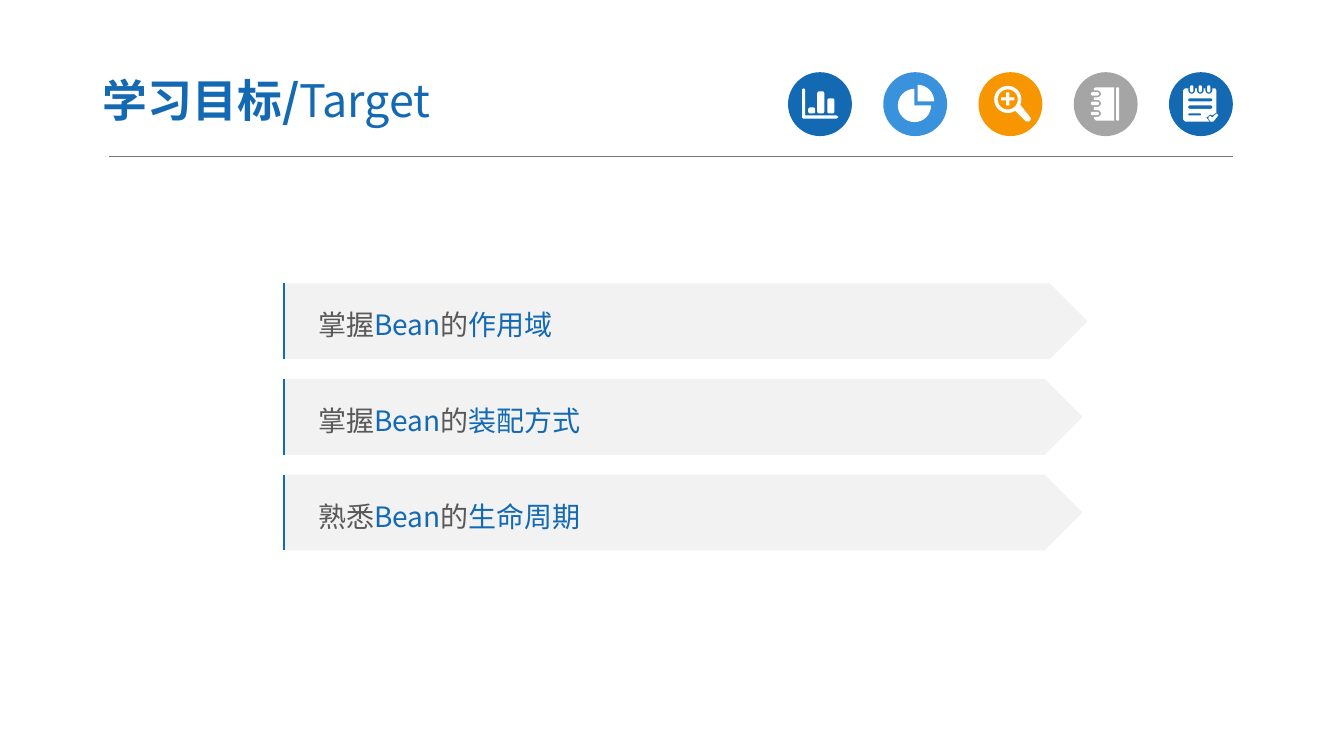
from dataclasses import dataclass
from math import cos, radians, sin

from lxml import etree
from pptx import Presentation
from pptx.dml.color import RGBColor
from pptx.enum.shapes import MSO_CONNECTOR, MSO_SHAPE
from pptx.enum.text import MSO_ANCHOR, PP_ALIGN
from pptx.oxml.ns import qn
from pptx.util import Cm, Pt

STRAIGHT = MSO_CONNECTOR.STRAIGHT
OVAL = MSO_SHAPE.OVAL
PENTAGON = MSO_SHAPE.PENTAGON
MIDDLE = MSO_ANCHOR.MIDDLE
LEFT = PP_ALIGN.LEFT


@dataclass(frozen=True)
class Theme:
    font: str = "Noto Sans CJK SC"
    blue: str = "1369B2"
    sky: str = "3992DB"
    orange: str = "F79600"
    silver: str = "A5A5A5"
    panel: str = "F2F2F2"
    body: str = "595959"
    rule: str = "767676"
    white: str = "FFFFFF"
    title_size: int = 32
    goal_size: int = 20


THEME = Theme()
TITLE = [("学习目标/", THEME.blue, True), ("Target", THEME.blue, False)]
GOALS = [
    ("掌握", "Bean", "的", "作用域", 20.27),
    ("掌握", "Bean", "的", "装配方式", 20.14),
    ("熟悉", "Bean", "的", "生命周期", 20.14),
]
GOAL_LEFT, GOAL_TOP, GOAL_HEIGHT, GOAL_STEP = 7.14, 7.14, 1.91, 2.41
EDGE_LEFT = 7.16
ICON_LEFT, ICON_TOP, ICON_SIZE, ICON_STEP = 19.86, 1.82, 1.61, 2.4
ICON_UNIT = Cm(0.0254)


def arc(x, y, radius, start, end, steps=24):
    angles = [radians(start + (end - start) * i / steps) for i in range(steps + 1)]
    return [(x + radius * cos(a), y + radius * sin(a)) for a in angles]


def pill(x, y, width, height, radius):
    right, bottom = x + width - radius, y + height - radius
    corners = [(right, bottom), (x + radius, bottom), (x + radius, y + radius), (right, y + radius)]
    return [point for i, (cx, cy) in enumerate(corners)
            for point in arc(cx, cy, radius, 90 * i, 90 * i + 90, 6)]


def bar_chart_icon():
    axes = [(14, 17), (15.5, 16), (17, 17), (17, 43), (48, 43), (50, 44.5),
            (48, 46), (15, 46), (14, 45)]
    bars = [(20, 35, 6), (29, 19, 22), (39, 26, 15)]
    return [axes] + [pill(x, y, 7, height, 2) for x, y, height in bars]


def pie_icon():
    return [[(34, 29)] + arc(34, 29, 16.5, -90, 0), [(31, 33)] + arc(31, 33, 16.5, 0, 270)]


def magnifier_icon():
    handle = [(50, 43), (52, 46), (51, 48.5), (48, 49), (46, 48)]
    plus = [(27.5, 20), (30.5, 20), (30.5, 25), (35.5, 25), (35.5, 28), (30.5, 28),
            (30.5, 33), (27.5, 33), (27.5, 28), (22.5, 28), (22.5, 25), (27.5, 25)]
    return [arc(29, 27, 13.5, 57, 383) + handle, arc(29, 27, 10, 0, 360), plus]


def notebook_icon():
    rings = (41, 31, 21.5)
    cover = [(20, 16), (22, 15), (40, 15), (40, 48), (22, 48), (20, 46)]
    for y in rings:
        cover += [(20, y + 3.4)] + arc(23.5, y, 3.4, 90, -90) + [(20, y - 3.4)]
    return [cover, pill(42, 15, 3, 33, 1)] + [pill(17, y - 1.7, 8, 3.4, 1.7) for y in rings]


def notepad_icon():
    rings = (22.5, 31, 39.5)
    sheet = [(14, 18), (16, 16)]
    for x in rings:
        sheet += [(x - 3.4, 16)] + arc(x, 18, 3.4, 180, 0) + [(x + 3.4, 16)]
    sheet += [(46, 16), (47, 18), (47, 40), (43, 43), (41, 42), (37, 45), (40, 49),
              (16, 49), (14, 47)]
    tick = [(48, 44), (44, 49), (41, 49), (39, 46), (39.5, 44), (41, 43.5),
            (43, 45), (46, 42), (47.5, 41), (49, 43)]
    lines = [(26, 24, 3), (33, 24, 3.4), (41, 13, 2)]
    return ([sheet, tick] + [pill(19, y, width, height, height / 2) for y, width, height in lines]
            + [pill(x - 1.65, 13, 3.3, 7, 1.65) for x in rings])


ICONS = [
    (THEME.blue, bar_chart_icon()),
    (THEME.sky, pie_icon()),
    (THEME.orange, magnifier_icon()),
    (THEME.silver, notebook_icon()),
    (THEME.blue, notepad_icon()),
]


def paint(shape, color):
    shape.shadow.inherit = False
    shape.fill.solid()
    shape.fill.fore_color.rgb = RGBColor.from_string(color)
    shape.line.fill.background()


def add_rule(page, x1, y1, x2, y2, color, width):
    line = page.shapes.add_connector(STRAIGHT, Cm(x1), Cm(y1), Cm(x2), Cm(y2))
    line.line.color.rgb = RGBColor.from_string(color)
    line.line.width = Pt(width)
    etree.SubElement(line._element.spPr, qn("a:effectLst"))


def add_span(para, text, *, size, color, bold=False):
    span = para.add_run()
    span.text = text
    span.font.name = THEME.font
    span.font.size = Pt(size)
    span.font.bold = bold
    span.font.color.rgb = RGBColor.from_string(color)
    east_asian = etree.SubElement(span._r.get_or_add_rPr(), qn("a:ea"))
    east_asian.set("typeface", THEME.font)


def write(box, spans, *, size, inset, spacing=1.0):
    frame = box.text_frame
    frame.word_wrap = True
    frame.vertical_anchor = MIDDLE
    frame.margin_left = Cm(inset)
    para = frame.paragraphs[0]
    para.alignment = LEFT
    para.line_spacing = spacing
    for text, color, bold in spans:
        add_span(para, text, size=size, color=color, bold=bold)


def add_icon(page, left, color, contours):
    disc = page.shapes.add_shape(OVAL, Cm(left), Cm(ICON_TOP), Cm(ICON_SIZE), Cm(ICON_SIZE))
    paint(disc, color)
    scaled = [[(x * ICON_UNIT, y * ICON_UNIT) for x, y in contour] for contour in contours]
    builder = page.shapes.build_freeform(*scaled[0][0])
    for contour in scaled:
        builder.move_to(*contour[0])
        builder.add_line_segments(contour[1:], close=True)
    paint(builder.convert_to_shape(Cm(left), Cm(ICON_TOP)), THEME.white)


def add_goal(page, top, verb, topic, link, subject, width):
    panel = page.shapes.add_shape(PENTAGON, Cm(GOAL_LEFT), Cm(top), Cm(width), Cm(GOAL_HEIGHT))
    paint(panel, THEME.panel)
    spans = [(verb, THEME.body, False), (topic, THEME.blue, False),
             (link, THEME.body, False), (subject, THEME.blue, False)]
    write(panel, spans, size=THEME.goal_size, inset=0.88, spacing=1.2)
    add_rule(page, EDGE_LEFT, top, EDGE_LEFT, top + GOAL_HEIGHT, THEME.blue, 1.5)


def main():
    deck = Presentation()
    deck.slide_width, deck.slide_height = Cm(33.87), Cm(19.05)
    page = deck.slides.add_slide(deck.slide_layouts[6])
    add_rule(page, 2.75, 3.94, 31.07, 3.94, THEME.rule, 0.5)
    for i, (color, contours) in enumerate(ICONS):
        add_icon(page, ICON_LEFT + i * ICON_STEP, color, contours)
    title = page.shapes.add_textbox(Cm(2.26), Cm(1.6), Cm(13.26), Cm(1.83))
    write(title, TITLE, size=THEME.title_size, inset=0.33)
    for i, goal in enumerate(GOALS):
        add_goal(page, GOAL_TOP + i * GOAL_STEP, *goal)
    deck.save("out.pptx")


if __name__ == "__main__":
    main()
